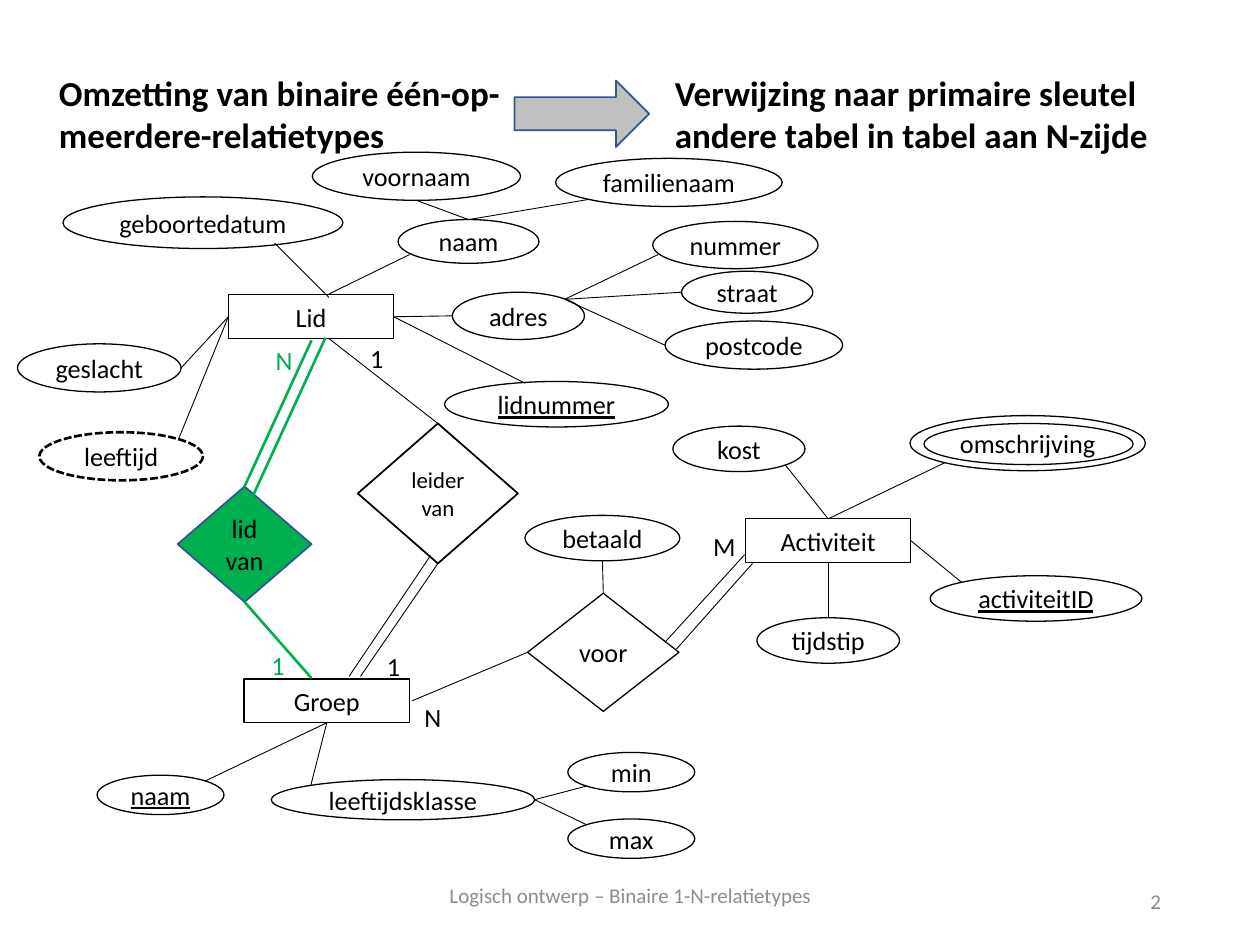
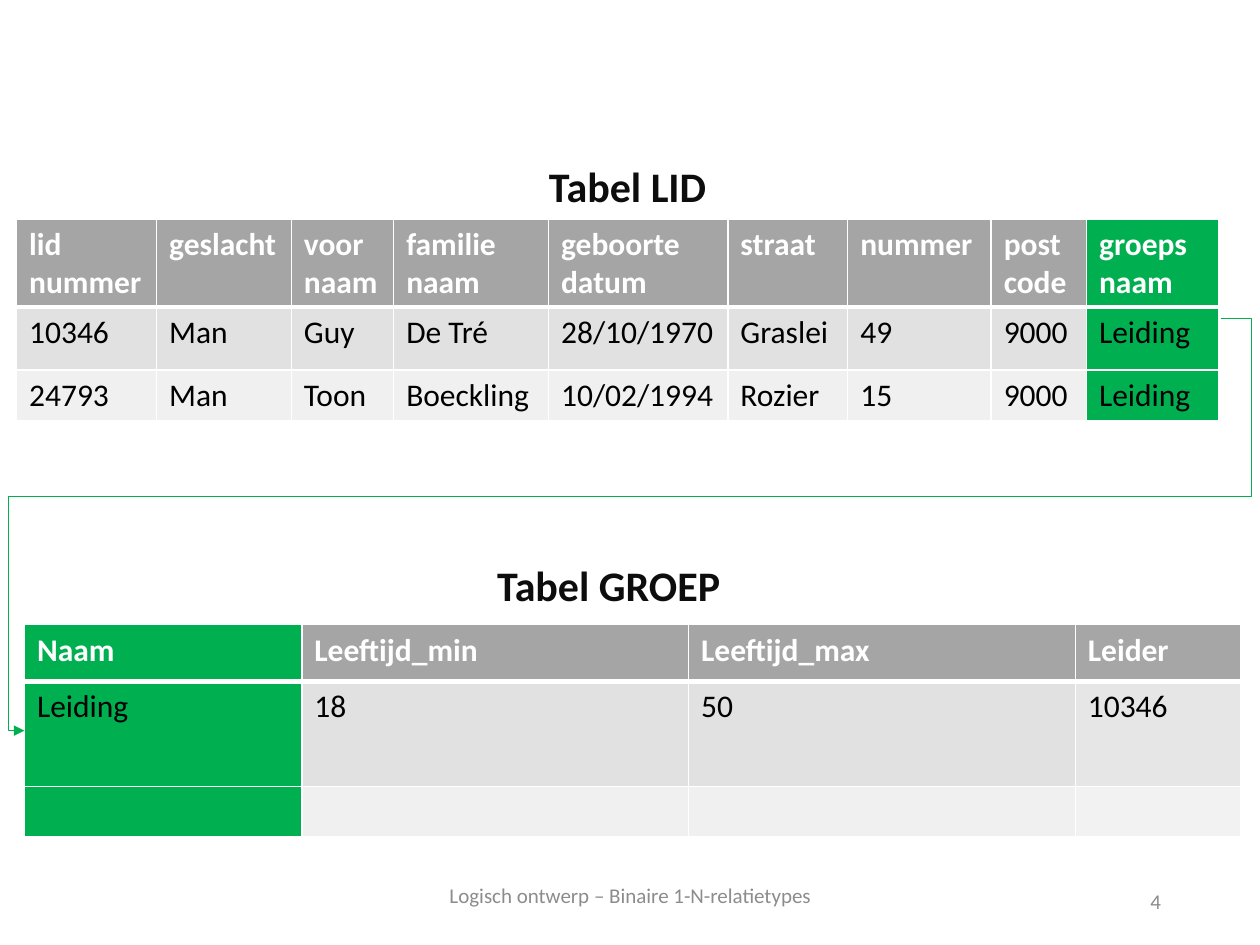
from lxml.etree import SubElement
from pptx import Presentation
from pptx.dml.color import RGBColor
from pptx.enum.dml import MSO_LINE
from pptx.enum.shapes import MSO_CONNECTOR, MSO_SHAPE
from pptx.enum.text import MSO_ANCHOR, MSO_AUTO_SIZE, PP_ALIGN
from pptx.oxml.ns import qn
from pptx.util import Pt

COLORS = {
    "black": "000000", "white": "FFFFFF", "green": "00B050", "blue": "325491",
    "arrow": "BFBFBF", "heading": "0D0D0D", "footer": "8C8C8C",
    "header": "A5A5A5", "header_last": "A6A6A6",
    "band1": "E1E1E1", "band1_last": "E7E6E6",
    "band2": "F0F0F0", "band2_last": "F2F2F2",
}
RGB = {name: RGBColor.from_string(value) for name, value in COLORS.items()}


def write(holder, text, size=15, color="black", bold=False, underline=False,
          align=PP_ALIGN.LEFT, anchor=MSO_ANCHOR.TOP, inset=None):
    """Fill a shape, text box or table cell; each line becomes a paragraph."""
    frame = holder.text_frame
    frame.word_wrap = True
    frame.vertical_anchor = anchor
    if inset is not None:
        frame.margin_left = frame.margin_right = Pt(inset)
        frame.margin_top = frame.margin_bottom = Pt(inset)
    for index, line in enumerate(text.split("\n")):
        para = frame.paragraphs[0] if index == 0 else frame.add_paragraph()
        para.alignment = align
        for font in (para.font, para.add_run().font) if line else (para.font,):
            font.name, font.size = "Calibri", Pt(size)
            font.bold, font.underline = bold, underline
            font.color.rgb = RGB[color]
        if line:
            para.runs[0].text = line


def connect(page, start, end, color="black", width=0.5, kind=MSO_CONNECTOR.STRAIGHT):
    line = page.shapes.add_connector(kind, *(Pt(value) for value in (*start, *end)))
    line.line.color.rgb = RGB[color]
    line.line.width = Pt(width)
    SubElement(line._element.spPr, qn("a:effectLst"))
    return line


deck = Presentation()
deck.slide_width, deck.slide_height = Pt(720), Pt(540)

# Shared parts: title, second heading, footer and page number
page_parts = [
    ("2", 20, "black",
     ("Omzetting van binaire één-op-meerdere-relatietypes", 26.5, 37, 271.5, 55.5),
     ("Verwijzing naar primaire sleutel andere tabel in tabel aan N-zijde",
      378.5, 37.5, 303, 55.5)),
    ("4", 24, "heading",
     ("Tabel LID", 306.5, 88, 107, 36),
     ("Tabel GROEP", 277, 316, 159, 36)),
]
for number, size, color, title, heading in page_parts:
    page = deck.slides.add_slide(deck.slide_layouts[5])
    page.shapes.title.text_frame.auto_size = MSO_AUTO_SIZE.NONE
    box = page.shapes.title
    box.left, box.top, box.width, box.height = (Pt(value) for value in title[1:])
    write(box, title[0], size, color, bold=True)
    box = page.shapes.add_textbox(*(Pt(value) for value in heading[1:]))
    write(box, heading[0], size, color, bold=True)
    for text, align, place in [
        ("Logisch ontwerp – Binaire 1-N-relatietypes", PP_ALIGN.CENTER, (183.5, 497, 353.5, 29)),
        (number, PP_ALIGN.RIGHT, (508.5, 500.5, 162, 29)),
    ]:
        box = page.shapes.add_textbox(*(Pt(value) for value in place))
        write(box, text, 12, "footer", align=align, anchor=MSO_ANCHOR.MIDDLE)
diagram_page, table_page = deck.slides

# Slide 1: entities, attributes and relations; "@" marks the owner of a repeated name
nodes = {
    MSO_SHAPE.RECTANGLE: {
        "Lid": (130.5, 168.5, 94.5, 25),
        "Groep": (139.5, 388, 94.5, 25),
        "Activiteit": (426, 296.5, 94.5, 25),
    },
    MSO_SHAPE.DIAMOND: {
        "lid van": (101.5, 278, 76.5, 66),
        "leider van": (204.5, 242, 91.5, 80),
        "voor": (301.5, 339, 86.5, 67.5),
    },
    MSO_SHAPE.OVAL: {
        "straat": (389.5, 155, 75, 24),
        "nummer": (373, 126.5, 94.5, 27),
        "postcode": (380, 183.5, 101.5, 27.5),
        "adres": (258.5, 167, 75.5, 27),
        "geslacht": (10, 196.5, 93.5, 27.5),
        "leeftijd": (22.5, 247, 93.5, 27.5),
        "naam@Groep": (55.5, 443, 72.5, 22.5),
        "leeftijdsklasse": (155, 445.5, 150.5, 23),
        "min": (324.5, 430, 72.5, 22.5),
        "max": (324.5, 468, 72.5, 22.5),
        "betaald": (300, 294.5, 88.5, 26),
        "kost": (384.5, 243.5, 75.5, 26),
        "tijdstip": (432.5, 353, 81.5, 26),
        "activiteitID": (531.5, 329, 121, 26),
        "lidnummer": (254, 218, 128, 26),
        "omschrijving": (520, 237.5, 134.5, 31.5),
        "@omschrijving": (528, 242, 119.5, 23.5),
        "naam": (227.5, 125.5, 80.5, 25),
        "geboortedatum": (36, 112.5, 160, 29.5),
        "voornaam": (178.5, 87, 119, 27.5),
        "familienaam": (317.5, 90.5, 129.5, 27.5),
    },
}
keys = {"naam@Groep", "activiteitID", "lidnummer"}
places = {}
for kind, group in nodes.items():
    for name, place in group.items():
        places[name] = place
        node = diagram_page.shapes.add_shape(kind, *(Pt(value) for value in place))
        node.shadow.inherit = False
        node.fill.background()
        node.line.color.rgb = RGB["black"]
        node.line.width = Pt(0.75)
        if name == "lid van":
            node.fill.solid()
            node.fill.fore_color.rgb = RGB["green"]
            node.line.color.rgb = RGB["blue"]
        if name in ("lid van", "leider van"):
            node.line.width = Pt(1)
        if name == "leeftijd":
            node.line.width = Pt(1.5)
            node.line.dash_style = MSO_LINE.SQUARE_DOT
        label = name.split("@")[0]
        if label:
            write(node, label, 13 if name == "leider van" else 15, underline=name in keys,
                  align=PP_ALIGN.CENTER, anchor=MSO_ANCHOR.MIDDLE, inset=0)

# Links run between compass points of nodes, or free points
compass = {"N": (0.5, 0), "E": (1, 0.5), "S": (0.5, 1), "W": (0, 0.5),
           "NW": (0.15, 0.15), "NE": (0.85, 0.15), "SW": (0.15, 0.85), "SE": (0.85, 0.85)}
links = {
    "black": [
        (("straat", "W"), ("adres", "NE")),
        (("postcode", "W"), ("adres", "NE")),
        (("adres", "NE"), (376, 145.5)),
        (("Lid", "E"), ("adres", "W")),
        (("geslacht", "E"), ("Lid", "W")),
        (("leeftijd", "NE"), ("Lid", "W")),
        ((300, 219), ("Lid", "E")),
        ((234, 145.5), (188, 168)),
        ((157, 139), (188, 170)),
        (("voornaam", "S"), ("naam", "N")),
        (("familienaam", "SW"), ("naam", "N")),
        (("naam@Groep", "NE"), ("Groep", "S")),
        (("leeftijdsklasse", "NW"), ("Groep", "S")),
        (("min", "SW"), ("leeftijdsklasse", "E")),
        (("max", "NW"), ("leeftijdsklasse", "E")),
        ((188, 193.5), ("leider van", "N")),
        (("leider van", "S"), (206, 386.5)),
        ((246, 317.5), (199.5, 386.5)),
        (("voor", "W"), (235.5, 400.5)),
        (("betaald", "S"), ("voor", "N")),
        ((430, 322), (386.5, 371)),
        ((425.5, 317), (380, 367)),
        (("omschrijving", "SW"), ("Activiteit", "N")),
        (("kost", "SE"), ("Activiteit", "N")),
        (("tijdstip", "N"), ("Activiteit", "S")),
        (("activiteitID", "NW"), ("Activiteit", "E")),
    ],
    "green": [
        (("lid van", "N"), (178, 194.5)),
        ((144, 284.5), (186, 193)),
        ((178, 387.5), ("lid van", "S")),
    ],
}
for color, pairs in links.items():
    for pair in pairs:
        ends = []
        for first, second in pair:
            if first in places:
                left, top, width, height = places[first]
                across, down = compass[second]
                first, second = left + across * width, top + down * height
            ends.append((first, second))
        connect(diagram_page, *ends, color, 1.5 if color == "green" else 0.5)

# Cardinalities
for text, left, top, color in [
    ("N", 150.5, 193, "green"), ("1", 204.5, 192, "black"), ("1", 148, 367.5, "green"),
    ("1", 214, 368, "black"), ("N", 235.5, 397, "black"), ("M", 400.5, 299.5, "black"),
]:
    box = diagram_page.shapes.add_textbox(Pt(left), Pt(top), Pt(30), Pt(25))
    write(box, text, color=color)

# Arrow between the two headings
arrow = diagram_page.shapes.add_shape(MSO_SHAPE.RIGHT_ARROW, Pt(294), Pt(46), Pt(77), Pt(38))
arrow.shadow.inherit = False
arrow.fill.solid()
arrow.fill.fore_color.rgb = RGB["arrow"]
arrow.line.color.rgb = RGB["blue"]
arrow.line.width = Pt(1)

# Slide 2: both tables, with the linked column in green
tables = [
    {"left": 9.5, "top": 125, "green": 8, "last": "",
     "columns": [80, 77, 58.5, 88.5, 102.5, 68.5, 82, 54.5, 75.5],
     "heights": [50, 36, 28],
     "rows": [
         ["lid\nnummer", "geslacht", "voor\nnaam", "familie\nnaam", "geboorte\ndatum",
          "straat", "nummer", "post\ncode", "groeps\nnaam"],
         ["10346", "Man", "Guy", "De Tré", "28/10/1970", "Graslei", "49", "9000", "Leiding"],
         ["24793", "Man", "Toon", "Boeckling", "10/02/1994", "Rozier", "15", "9000", "Leiding"],
     ]},
    {"left": 14, "top": 357, "green": 0, "last": "_last",
     "columns": [158.5, 221, 221, 94.5],
     "heights": [32.5, 60, 28],
     "rows": [
         ["Naam", "Leeftijd_min", "Leeftijd_max", "Leider"],
         ["Leiding", "18", "50", "10346"],
         [""] * 4,
     ]},
]
for data in tables:
    columns, heights = data["columns"], data["heights"]
    table = table_page.shapes.add_table(
        len(heights), len(columns), Pt(data["left"]), Pt(data["top"]),
        Pt(sum(columns)), Pt(sum(heights))).table
    for column, width in zip(table.columns, columns):
        column.width = Pt(width)
    for row, (height, texts) in enumerate(zip(heights, data["rows"])):
        table.rows[row].height = Pt(height)
        for column, text in enumerate(texts):
            cell = table.cell(row, column)
            write(cell, text, 18, "black" if row else "white", bold=row == 0)
            # White borders, thick below the header
            for side in ("L", "R", "T", "B"):
                thick = (row, side) in ((0, "B"), (1, "T"))
                border = SubElement(cell._tc.get_or_add_tcPr(), qn("a:ln" + side),
                                    w=str(Pt(3 if thick else 1)))
                fill = SubElement(border, qn("a:solidFill"))
                SubElement(fill, qn("a:srgbClr"), val=COLORS["white"])
            shade = ("header", "band1", "band2")[row]
            if column == data["green"]:
                shade = "green"
            elif column == len(columns) - 1:
                shade += data["last"]
            cell.fill.solid()
            cell.fill.fore_color.rgb = RGB[shade]

# Reference from the group name in LID to the name in GROEP
reference = connect(table_page, (697.5, 182), (14, 417.5), "green", kind=MSO_CONNECTOR.ELBOW)
properties = reference._element.spPr
SubElement(properties.find(qn("a:ln")), qn("a:tailEnd"), type="triangle")
geometry = properties.find(qn("a:prstGeom"))
geometry.set("prst", "bentConnector5")
adjustments = geometry.find(qn("a:avLst"))
if adjustments is None:
    adjustments = SubElement(geometry, qn("a:avLst"))
for index, value in enumerate((-2600, 43100, 101300), 1):
    SubElement(adjustments, qn("a:gd"), name=f"adj{index}", fmla=f"val {value}")

deck.save("out.pptx")
